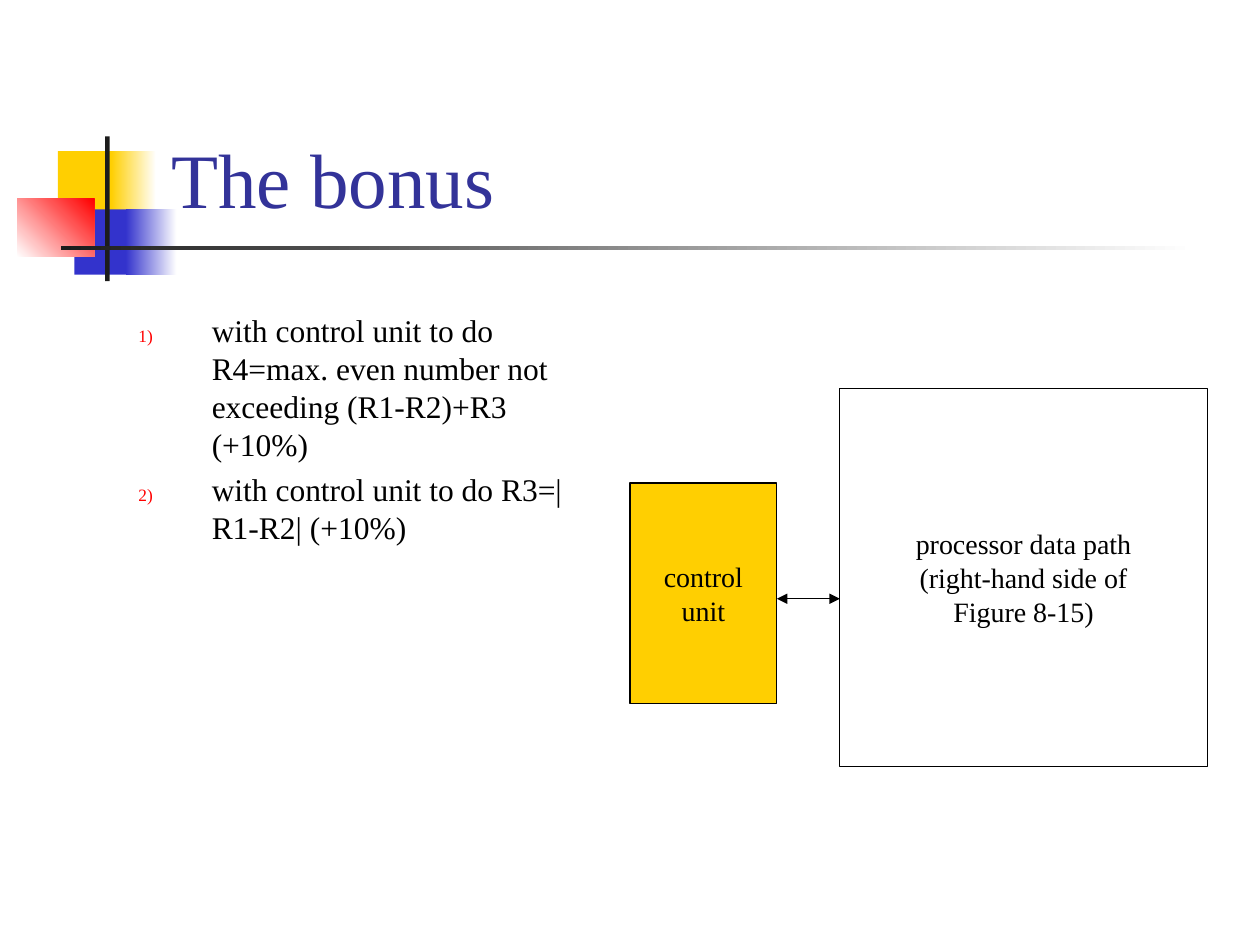
from lxml.etree import SubElement
from pptx import Presentation
from pptx.dml.color import RGBColor
from pptx.enum.shapes import MSO_CONNECTOR, MSO_SHAPE
from pptx.enum.text import MSO_ANCHOR as ANCHOR, PP_ALIGN as ALIGN
from pptx.oxml.ns import qn
from pptx.util import Cm, Pt

FONT = "Times New Roman"
BLACK = RGBColor(0x00, 0x00, 0x00)
WHITE = RGBColor(0xFF, 0xFF, 0xFF)
YELLOW = RGBColor(0xFF, 0xCF, 0x01)
BLUE = RGBColor(0x33, 0x33, 0xCC)
RED = RGBColor(0xFF, 0x00, 0x00)
CHARCOAL = RGBColor(0x1C, 0x1C, 0x1C)
NAVY = RGBColor(0x33, 0x33, 0x99)


def add_box(left, top, width, height):
    box = slide.shapes.add_shape(
        MSO_SHAPE.RECTANGLE, Cm(left), Cm(top), Cm(width), Cm(height))
    box.shadow.inherit = False
    return box


def style_text(paragraph, size, color):
    for run in paragraph.runs:
        run.font.name = FONT
        run.font.size = Pt(size)
        run.font.color.rgb = color


prs = Presentation()
prs.slide_width, prs.slide_height = Cm(25.4), Cm(19.05)
slide = prs.slides.add_slide(prs.slide_layouts[5])

ornaments = [
    (1.17, 3.05, 1.22, 1.32, [YELLOW], 0),
    (2.24, 3.05, 0.91, 1.32, [YELLOW, WHITE], 0),
    (1.5, 4.22, 1.17, 1.32, [BLUE], 0),
    (2.54, 4.22, 1.02, 1.32, [BLUE, WHITE], 0),
    (0.35, 4.01, 1.55, 1.17, [WHITE, RED], 45),
    (2.12, 2.75, 0.09, 2.92, [CHARCOAL], 0),
    (1.23, 4.95, 22.86, 0.09, [CHARCOAL, WHITE], 0),
]
for left, top, width, height, colors, angle in ornaments:
    ornament = add_box(left, top, width, height)
    ornament.line.fill.background()
    if len(colors) == 1:
        ornament.fill.solid()
        ornament.fill.fore_color.rgb = colors[0]
    else:
        ornament.fill.gradient()
        ornament.fill.gradient_angle = angle
        for stop, color in zip(ornament.fill.gradient_stops, colors):
            stop.color.rgb = color

title = slide.shapes.title
title.left, title.top, title.width, title.height = Cm(3.2), Cm(0.58), Cm(21.64), Cm(4.06)
title.text_frame.text = "The bonus"
title.text_frame.vertical_anchor = ANCHOR.BOTTOM
title.text_frame.paragraphs[0].alignment = ALIGN.LEFT
style_text(title.text_frame.paragraphs[0], 44, NAVY)

tasks = slide.shapes.add_textbox(Cm(1.27), Cm(6.15), Cm(10.59), Cm(11.43)).text_frame
tasks.word_wrap = True
tasks.text = (
    "with control unit to do R4=max. even number not exceeding (R1-R2)+R3 (+10%)\n"
    "with control unit to do R3=|R1-R2| (+10%)"
)
for index, task in enumerate(tasks.paragraphs):
    props = task._p.get_or_add_pPr()
    props.set("marL", str(Cm(2.75)))
    props.set("indent", str(Cm(-1.48)))
    SubElement(SubElement(props, qn("a:buClr")), qn("a:srgbClr"), val=str(RED))
    SubElement(props, qn("a:buSzPct"), val="55000")
    SubElement(props, qn("a:buFont"), typeface=FONT)
    SubElement(props, qn("a:buAutoNum"), type="arabicParenR")
    if index:
        task.space_before = Pt(4.5)
    style_text(task, 18, BLACK)

units = [
    (16.93, 7.83, 7.41, 7.62, None,
     "processor data path\n(right-hand side of\nFigure 8-15)"),
    (12.7, 9.74, 2.96, 4.45, YELLOW, "control\nunit"),
]
for left, top, width, height, color, label in units:
    unit = add_box(left, top, width, height)
    if color is None:
        unit.fill.background()
    else:
        unit.fill.solid()
        unit.fill.fore_color.rgb = color
    unit.line.color.rgb = BLACK
    unit.line.width = Pt(0.75)
    unit.text_frame.word_wrap = False
    unit.text_frame.vertical_anchor = ANCHOR.MIDDLE
    unit.text_frame.text = label
    for line in unit.text_frame.paragraphs:
        line.alignment = ALIGN.CENTER
        style_text(line, 16, BLACK)

link = slide.shapes.add_connector(
    MSO_CONNECTOR.STRAIGHT, Cm(15.66), Cm(12.07), Cm(16.93), Cm(12.07))
link.line.color.rgb = BLACK
link.line.width = Pt(0.75)
for end in ("a:headEnd", "a:tailEnd"):
    SubElement(link.line._get_or_add_ln(), qn(end), type="triangle")
SubElement(link._element.spPr, qn("a:effectLst"))

prs.save("out.pptx")
